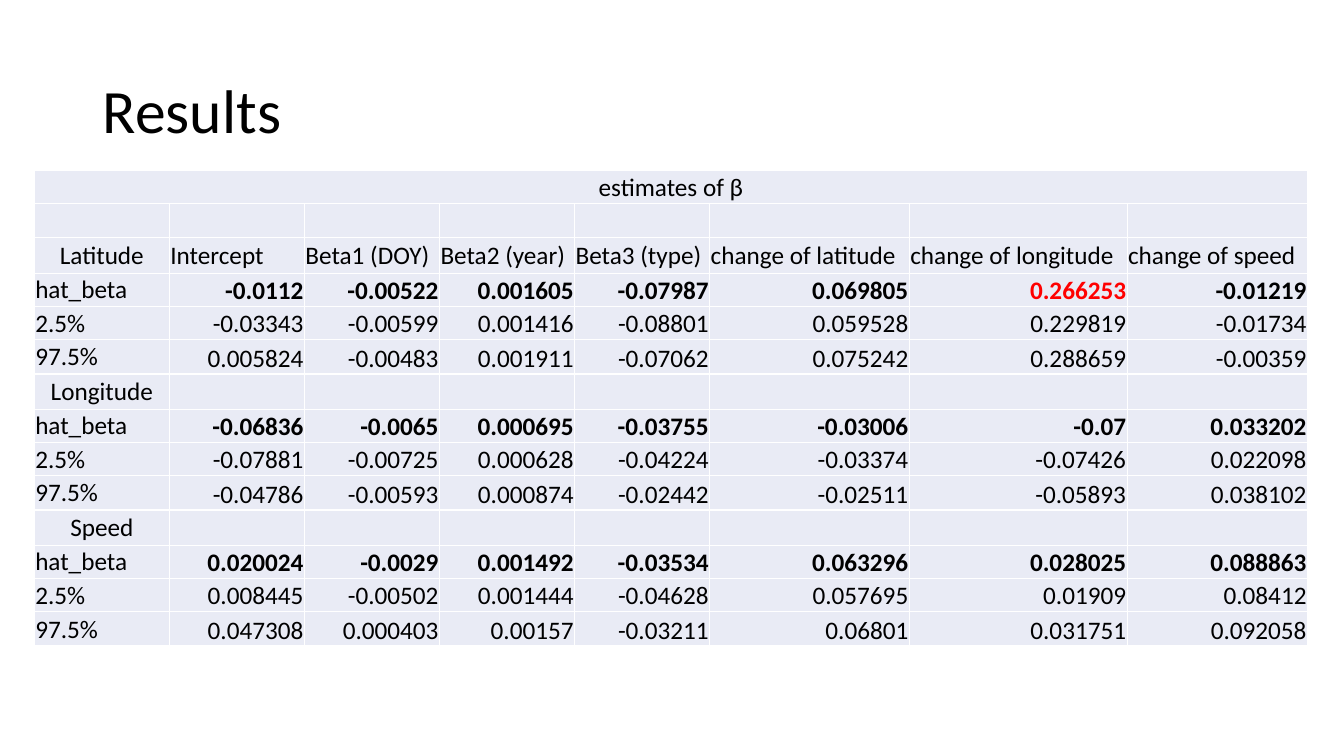
from lxml import etree
from pptx import Presentation
from pptx.dml.color import RGBColor
from pptx.enum import text
from pptx.oxml import ns
from pptx.util import Inches, Pt

TITLE = "Results"
CAPTION = "estimates of β"
HEADINGS = ["Intercept", "Beta1 (DOY)", "Beta2 (year)", "Beta3 (type)",
            "change of latitude", "change of longitude", "change of speed"]
STATISTICS = ["hat_beta", "2.5%", "97.5%"]
ESTIMATES = {
    "Latitude": [
        ["-0.0112", "-0.00522", "0.001605", "-0.07987", "0.069805", "0.266253", "-0.01219"],
        ["-0.03343", "-0.00599", "0.001416", "-0.08801", "0.059528", "0.229819", "-0.01734"],
        ["0.005824", "-0.00483", "0.001911", "-0.07062", "0.075242", "0.288659", "-0.00359"],
    ],
    "Longitude": [
        ["-0.06836", "-0.0065", "0.000695", "-0.03755", "-0.03006", "-0.07", "0.033202"],
        ["-0.07881", "-0.00725", "0.000628", "-0.04224", "-0.03374", "-0.07426", "0.022098"],
        ["-0.04786", "-0.00593", "0.000874", "-0.02442", "-0.02511", "-0.05893", "0.038102"],
    ],
    "Speed": [
        ["0.020024", "-0.0029", "0.001492", "-0.03534", "0.063296", "0.028025", "0.088863"],
        ["0.008445", "-0.00502", "0.001444", "-0.04628", "0.057695", "0.01909", "0.08412"],
        ["0.047308", "0.000403", "0.00157", "-0.03211", "0.06801", "0.031751", "0.092058"],
    ],
}
HIGHLIGHT = "0.266253"

BLACK = RGBColor(0x00, 0x00, 0x00)
RED = RGBColor(0xFF, 0x00, 0x00)
WHITE = RGBColor(0xFF, 0xFF, 0xFF)
PALE_BLUE = RGBColor(0xE9, 0xEB, 0xF5)

COLUMN_WIDTHS = [1.34] * 5 + [1.98, 2.16, 1.79]
ROW_HEIGHTS = [0.33, 0.34] + [0.35, 0.33, 0.33, 0.34] * len(ESTIMATES)
TABLE_LEFT, TABLE_TOP = 0.34, 1.69
CELL_MARGINS = {"margin_left": Inches(0.01), "margin_top": Inches(0.01),
                "margin_right": Inches(0.01), "margin_bottom": 0}
CELL_FONT = {"name": "Calibri", "size": Pt(18)}
TITLE_FONT = {"name": "Calibri", "size": Pt(44)}
LEFT, CENTER, RIGHT = text.PP_ALIGN.LEFT, text.PP_ALIGN.CENTER, text.PP_ALIGN.RIGHT
MIDDLE, BOTTOM = text.MSO_ANCHOR.MIDDLE, text.MSO_ANCHOR.BOTTOM


def apply(target, values):
    for name, value in values.items():
        setattr(target, name, value)


def add_borders(cell):
    properties = cell._tc.get_or_add_tcPr()
    for position, side in enumerate(("lnL", "lnR", "lnT", "lnB")):
        line = etree.Element(ns.qn(f"a:{side}"), w=str(Pt(1)))
        paint = etree.SubElement(line, ns.qn("a:solidFill"))
        etree.SubElement(paint, ns.qn("a:srgbClr"), val=str(WHITE))
        properties.insert(position, line)


def write(cell, words, align, anchor=MIDDLE, bold=False, color=BLACK):
    cell.vertical_anchor = anchor
    paragraph = cell.text_frame.paragraphs[0]
    paragraph.alignment = align
    run = paragraph.add_run()
    run.text = words
    apply(run.font, {**CELL_FONT, "bold": bold})
    run.font.color.rgb = color


deck = Presentation()
deck.slide_width, deck.slide_height = Inches(13.33), Inches(7.5)
slide = deck.slides.add_slide(deck.slide_layouts[5])

# Title
title = slide.shapes.title
apply(title, {"left": Inches(0.92), "top": Inches(0.4),
              "width": Inches(11.5), "height": Inches(1.45)})
title.text_frame.text = TITLE
title.text_frame.vertical_anchor = MIDDLE
heading = title.text_frame.paragraphs[0]
apply(heading, {"alignment": LEFT, "line_spacing": 0.9})
apply(heading.runs[0].font, TITLE_FONT)
heading.runs[0].font.color.rgb = BLACK

# Table grid
table = slide.shapes.add_table(
    len(ROW_HEIGHTS), len(COLUMN_WIDTHS), Inches(TABLE_LEFT), Inches(TABLE_TOP),
    Inches(sum(COLUMN_WIDTHS)), Inches(sum(ROW_HEIGHTS))).table
apply(table, {"first_row": False, "horz_banding": False})
for column, width in zip(table.columns, COLUMN_WIDTHS):
    column.width = Inches(width)
for row, height in zip(table.rows, ROW_HEIGHTS):
    row.height = Inches(height)
for cell in table.iter_cells():
    apply(cell, CELL_MARGINS)
    cell.fill.solid()
    cell.fill.fore_color.rgb = PALE_BLUE
    add_borders(cell)

# Caption and column headings
table.cell(0, 0).merge(table.cell(0, len(COLUMN_WIDTHS) - 1))
write(table.cell(0, 0), CAPTION, CENTER)
for c, label in enumerate(HEADINGS, start=1):
    write(table.cell(2, c), label, LEFT)

# One block of rows per response
for block, (response, rows) in enumerate(ESTIMATES.items()):
    top = 2 + block * (len(STATISTICS) + 1)
    write(table.cell(top, 0), response, CENTER)
    for r, (statistic, values) in enumerate(zip(STATISTICS, rows), start=top + 1):
        write(table.cell(r, 0), statistic, LEFT)
        for c, value in enumerate(values, start=1):
            write(table.cell(r, c), value, RIGHT, BOTTOM,
                  bold=statistic == "hat_beta",
                  color=RED if value == HIGHLIGHT else BLACK)

deck.save("out.pptx")
